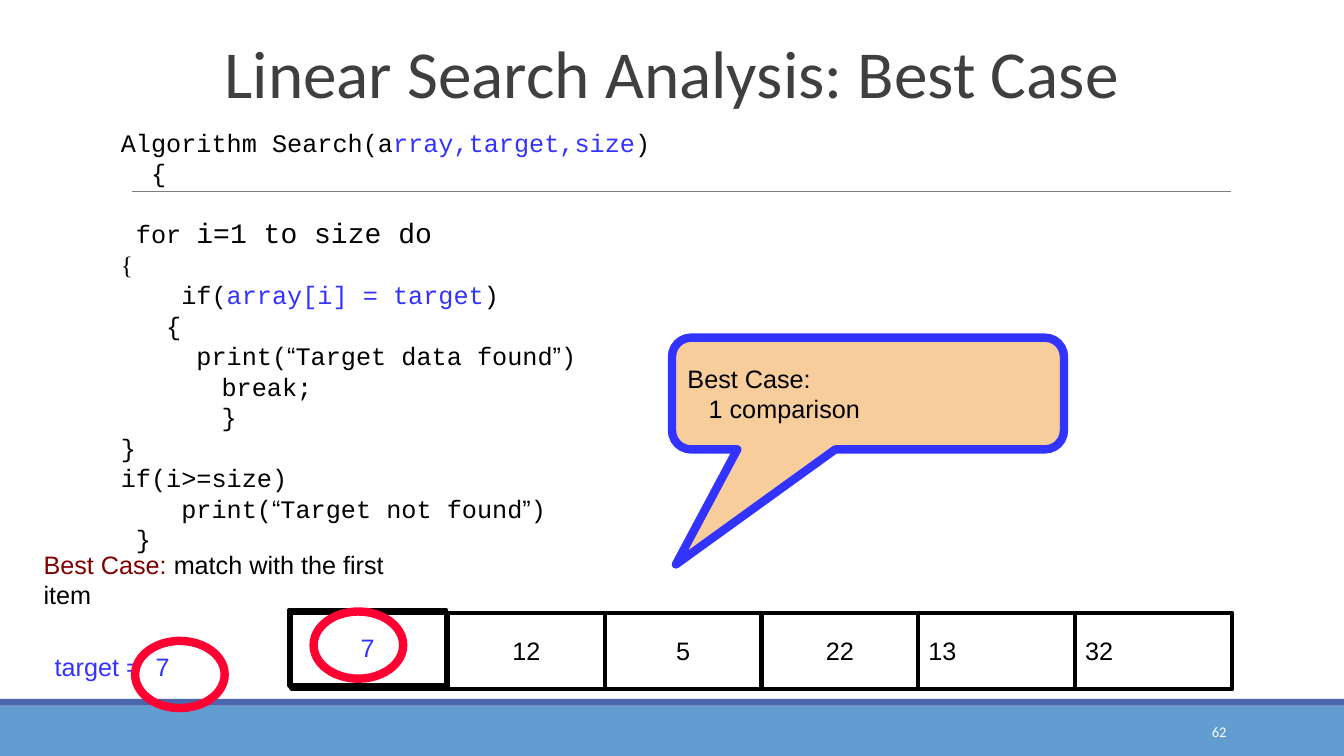
"""Build a slide on the best case of a linear search."""
from dataclasses import dataclass

from lxml import etree
from pptx import Presentation
from pptx.dml.color import RGBColor
from pptx.enum.shapes import MSO_CONNECTOR, MSO_SHAPE
from pptx.enum.text import MSO_ANCHOR, PP_ALIGN
from pptx.oxml.ns import qn
from pptx.util import Inches, Pt

RECT, OVAL = MSO_SHAPE.RECTANGLE, MSO_SHAPE.OVAL
CALLOUT = MSO_SHAPE.ROUNDED_RECTANGULAR_CALLOUT
STRAIGHT = MSO_CONNECTOR.STRAIGHT
TOP, MIDDLE, BOTTOM = MSO_ANCHOR.TOP, MSO_ANCHOR.MIDDLE, MSO_ANCHOR.BOTTOM
LEFT, CENTER, RIGHT = PP_ALIGN.LEFT, PP_ALIGN.CENTER, PP_ALIGN.RIGHT

BLACK = RGBColor(0x00, 0x00, 0x00)
WHITE = RGBColor(0xFF, 0xFF, 0xFF)
BLUE = RGBColor(0x33, 0x33, 0xFF)
MAROON = RGBColor(0x80, 0x00, 0x00)
RED = RGBColor(0xFF, 0x00, 0x33)
PEACH = RGBColor(0xF7, 0xCD, 0x9C)
GRAY = RGBColor(0x7F, 0x7F, 0x7F)
CHARCOAL = RGBColor(0x3F, 0x3F, 0x3F)
SKY = RGBColor(0x62, 0x9D, 0xD1)
NAVY = RGBColor(0x4A, 0x66, 0xAC)

SANS, MONO, SERIF, TITLE_FONT = "Arial", "Courier New", "Times New Roman", "Calibri"
SLIDE_WIDTH, SLIDE_HEIGHT = Inches(13.33), Inches(7.5)
COLUMNS, ROWS = 120, 90
CODE_CHARACTER = Inches(0.15)
CODE_LEADING, BODY_LEADING = Pt(21.8), Pt(21.4)


@dataclass(frozen=True)
class Box:
    """Place on the grid, in columns and rows."""
    column: float
    row: float
    columns: float
    rows: float


@dataclass(frozen=True)
class Run:
    """Stretch of text in one format."""
    text: str
    color: RGBColor = BLACK
    font: str = SANS
    size: float = 18


@dataclass(frozen=True)
class Line:
    """Paragraph with its indent and spacing."""
    runs: tuple[Run, ...]
    indent: int = 0
    align: PP_ALIGN = LEFT
    leading: float = BODY_LEADING
    before: int = 0
    tab: int = 0


def across(columns: float) -> int:
    """Return the length of a number of columns."""
    return round(SLIDE_WIDTH * columns / COLUMNS)


def down(rows: float) -> int:
    """Return the length of a number of rows."""
    return round(SLIDE_HEIGHT * rows / ROWS)


def place(box: Box) -> tuple[int, int, int, int]:
    """Return left, top, width and height of a box."""
    return across(box.column), down(box.row), across(box.columns), down(box.rows)


def write(shape, lines: tuple[Line, ...], anchor: MSO_ANCHOR = TOP) -> None:
    """Write lines into a shape."""
    frame = shape.text_frame
    frame.word_wrap = True
    frame.vertical_anchor = anchor
    for index, line in enumerate(lines):
        paragraph = frame.add_paragraph() if index else frame.paragraphs[0]
        formats = {"alignment": line.align, "line_spacing": line.leading,
                   "space_before": line.before}
        for key, value in formats.items():
            setattr(paragraph, key, value)
        properties = paragraph._p.get_or_add_pPr()
        properties.set("marL", str(line.indent))
        properties.set("indent", "0")
        if line.tab:
            stops = etree.SubElement(properties, qn("a:tabLst"))
            etree.SubElement(stops, qn("a:tab"), pos=str(line.tab), algn="l")
        for part in line.runs:
            run = paragraph.add_run()
            run.text = part.text
            run.font.color.rgb = part.color
            for key, value in {"name": part.font, "size": Pt(part.size)}.items():
                setattr(run.font, key, value)


def add_text(slide, box: Box, lines: tuple[Line, ...], anchor: MSO_ANCHOR = TOP) -> None:
    """Add a text box."""
    write(slide.shapes.add_textbox(*place(box)), lines, anchor)


def add_figure(slide, kind: MSO_SHAPE, box: Box, fill: RGBColor | None = None,
               outline: RGBColor | None = None, weight: float = 3):
    """Add a preset shape."""
    shape = slide.shapes.add_shape(kind, *place(box))
    shape.shadow.inherit = False
    if fill is None:
        shape.fill.background()
    else:
        shape.fill.solid()
        shape.fill.fore_color.rgb = fill
    if outline is None:
        shape.line.fill.background()
    else:
        shape.line.color.rgb = outline
        shape.line.width = Pt(weight)
    return shape


def code(*parts: Run | str, indent: float = 0, before: int = 0) -> Line:
    """Return a line of code, indented by characters."""
    runs = tuple(Run(part, font=MONO) if isinstance(part, str) else part for part in parts)
    return Line(runs, round(indent * CODE_CHARACTER), leading=CODE_LEADING, before=before)


def print_call(message: str, indent: int) -> Line:
    """Return a print statement with a quoted message."""
    return code("print(", Run("“"), message, Run("”"), ")", indent=indent)


BREAK_INDENT = Inches(1) / CODE_CHARACTER
ALGORITHM = (
    code("Algorithm Search(a", Run("rray,target,size", BLUE, MONO), ")"),
    code("{", indent=2),
    code("for ", Run("i=1 to size do", font=MONO, size=20), indent=1, before=CODE_LEADING),
    code(Run("{", font=SERIF)),
    code("if(", Run("array[i] = target", BLUE, MONO), ")", indent=4),
    code("{", indent=3),
    print_call("Target data found", 5),
    code("break;", indent=BREAK_INDENT),
    code("}", indent=BREAK_INDENT),
    code("}"),
    code("if(i>=size)"),
    print_call("Target not found", 4),
    code("}", indent=1),
)

ARRAY = Box(26, 73, 84, 9)
ITEMS = ("7", "12", "5", "22", "13", "32")
CENTERED_ITEMS = 4
MATCH_SHIFT = (-0.17, -0.4)
MATCH_RINGS = (Box(12.06, 76.3, 8, 8), Box(28, 72.8, 8, 8))


def add_array(slide) -> None:
    """Draw the array with its items in equal cells."""
    add_figure(slide, RECT, ARRAY, outline=BLACK)
    width = ARRAY.columns / len(ITEMS)
    for index, item in enumerate(ITEMS):
        shift_column, shift_row = (0, 0) if index else MATCH_SHIFT
        box = Box(ARRAY.column + index * width + shift_column,
                  ARRAY.row + shift_row, width, ARRAY.rows)
        cell = add_figure(slide, RECT, box, outline=BLACK)
        align = CENTER if index < CENTERED_ITEMS else LEFT
        write(cell, (Line((Run(item, BLACK if index else BLUE),), align=align),), MIDDLE)


def main() -> None:
    """Build and save the slide."""
    deck = Presentation()
    deck.slide_width, deck.slide_height = SLIDE_WIDTH, SLIDE_HEIGHT
    slide = deck.slides.add_slide(deck.slide_layouts[6])

    add_figure(slide, RECT, Box(0, 84, COLUMNS, 6), SKY)
    add_figure(slide, RECT, Box(0, 83.2, COLUMNS, 0.8), NAVY)
    rule = slide.shapes.add_connector(STRAIGHT, across(11.8), down(22.8),
                                      across(109.9), down(22.8))
    rule.line.color.rgb = GRAY
    rule.line.width = Pt(0.75)
    etree.SubElement(rule._element.spPr, qn("a:effectLst"))

    title = Run("Linear Search Analysis: Best Case", CHARCOAL, TITLE_FONT, 48)
    add_text(slide, Box(9, 2, 102, 12), (Line((title,), align=CENTER, leading=0.85),), BOTTOM)
    summary = (Run("Best Case: ", MAROON), Run("match with the first item"))
    add_text(slide, Box(3, 64.9, 34.65, 4.8), (Line(summary),))
    add_array(slide)
    target = Line((Run("target =\t7", BLUE),), tab=Inches(0.99))
    add_text(slide, Box(4, 77, 12.1, 4.8), (target,))
    for ring in MATCH_RINGS:
        add_figure(slide, OVAL, ring, outline=RED, weight=6)

    callout = add_figure(slide, CALLOUT, Box(60, 40.2, 35, 13.3), PEACH, BLUE, 6)
    for index, value in enumerate((-0.49, 1.53, 0.17)):
        callout.adjustments[index] = value
    write(callout, (Line((Run("Best Case:"),)),
                    Line((Run("1 comparison"),), Inches(0.21))), MIDDLE)
    add_text(slide, Box(9.9, 14.5, 60, 55.7), ALGORITHM)
    number = Run("62", WHITE, TITLE_FONT, 10.5)
    add_text(slide, Box(97.5, 84.75, 12.9, 4.8),
             (Line((number,), align=RIGHT, leading=1.0),), MIDDLE)
    deck.save("out.pptx")


if __name__ == "__main__":
    main()
